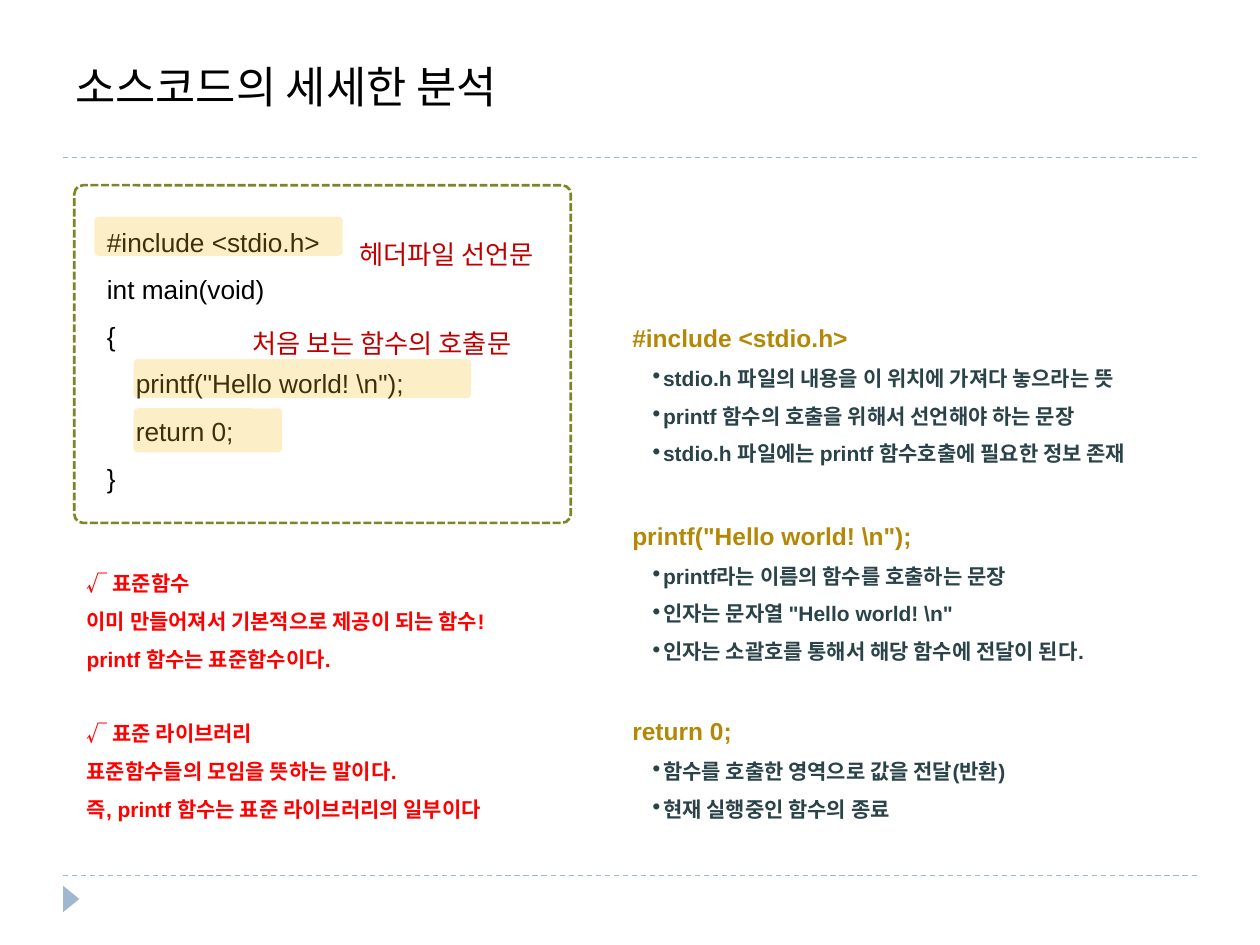
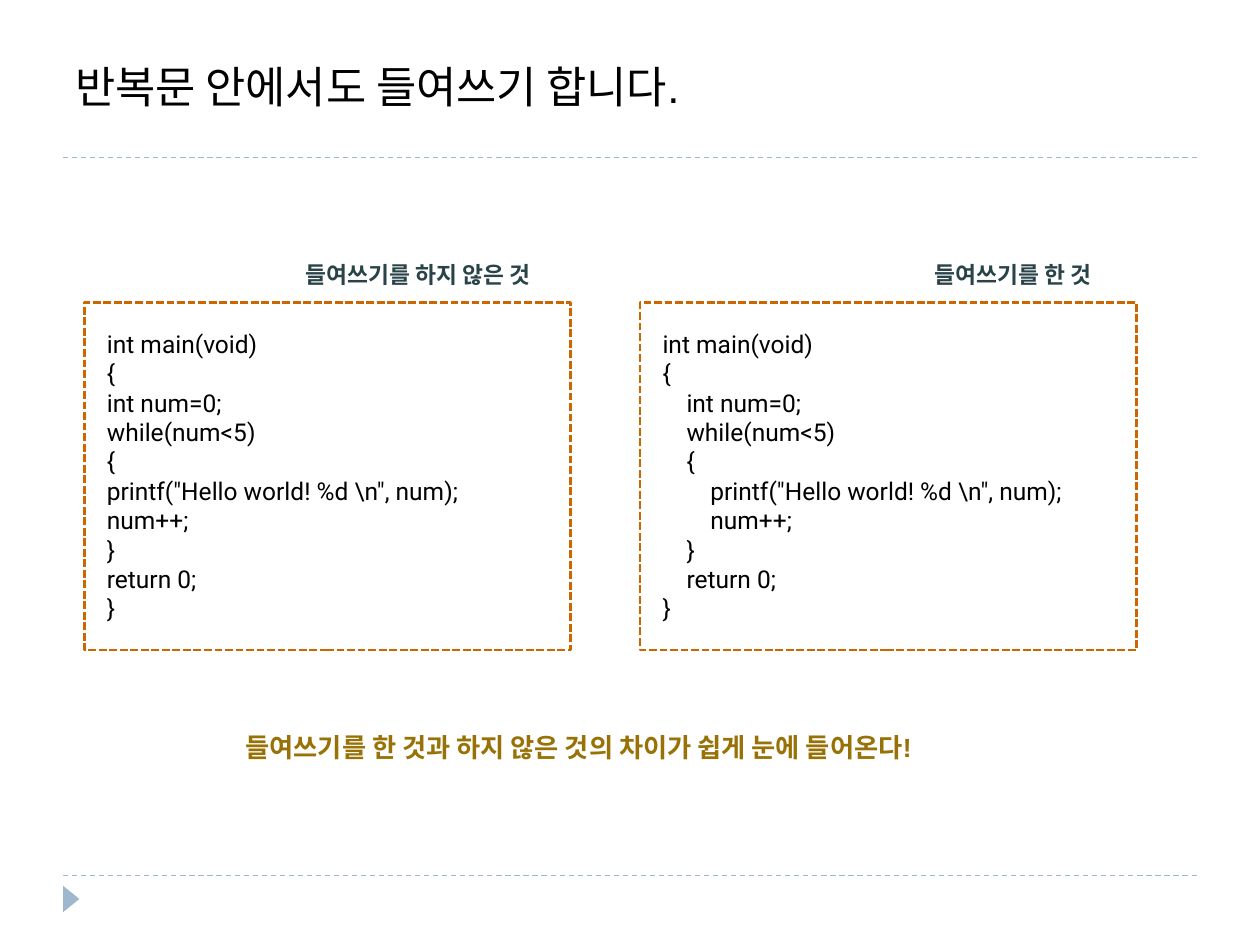
from lxml.etree import SubElement
from pptx import Presentation
from pptx.dml.color import RGBColor
from pptx.enum.dml import MSO_LINE
from pptx.enum.shapes import MSO_CONNECTOR, MSO_SHAPE
from pptx.enum.text import MSO_ANCHOR, PP_ALIGN
from pptx.oxml.ns import qn
from pptx.util import Inches, Pt

BLACK = RGBColor(0x00, 0x00, 0x00)
STEEL = RGBColor(0x9F, 0xB8, 0xCD)
OLIVE = RGBColor(0x7D, 0x85, 0x25)
AMBER = RGBColor(0xF7, 0xC1, 0x20)
CRIMSON = RGBColor(0xC0, 0x00, 0x00)
RED = RGBColor(0xFF, 0x00, 0x00)
GOLD = RGBColor(0xB3, 0x88, 0x07)
DARK_GOLD = RGBColor(0x98, 0x72, 0x06)
TEAL = RGBColor(0x29, 0x43, 0x49)
ORANGE = RGBColor(0xCC, 0x66, 0x00)
LATIN_FONT = "Arial"
KOREAN_FONT = "Noto Sans CJK KR"
CODE_FONT = "Roboto"


def add_text_box(page, box, anchor=MSO_ANCHOR.TOP):
    frame = page.shapes.add_textbox(*map(Inches, box)).text_frame
    frame.word_wrap = True
    frame.vertical_anchor = anchor
    return frame


def add_line(frame, text, size, color, bold=False, font=LATIN_FONT, spacing=1.0, indent=0):
    first = frame.paragraphs[0]
    para = frame.add_paragraph() if first.runs else first
    para.line_spacing = spacing
    if indent:
        para._p.get_or_add_pPr().set("marL", str(Inches(indent)))
    span = para.add_run()
    span.text = text
    span.font.size = Pt(size)
    span.font.bold = bold
    span.font.name = font
    span.font.color.rgb = color
    SubElement(span._r.get_or_add_rPr(), qn("a:ea"), typeface=KOREAN_FONT)
    return para


def add_bullet(para, hanging):
    properties = para._p.get_or_add_pPr()
    properties.set("indent", str(-Inches(hanging)))
    SubElement(properties, qn("a:buChar"), char="∙")


def add_shape(page, kind, box, corner=None):
    shape = page.shapes.add_shape(kind, *map(Inches, box))
    shape.shadow.inherit = False
    if corner is not None:
        shape.adjustments[0] = corner
    return shape


def add_dashed_frame(page, kind, box, color, corner=None):
    frame = add_shape(page, kind, box, corner)
    frame.fill.background()
    frame.line.color.rgb = color
    frame.line.width = Pt(1.5)
    frame.line.dash_style = MSO_LINE.SQUARE_DOT


def add_highlight(page, box):
    highlight = add_shape(page, MSO_SHAPE.ROUNDED_RECTANGLE, box, 0.1)
    highlight.fill.solid()
    highlight.fill.fore_color.rgb = AMBER
    color = highlight.fill._xPr.find(".//" + qn("a:srgbClr"))
    SubElement(color, qn("a:alpha"), val="25000")
    highlight.line.fill.background()


def add_page(deck, title):
    page = deck.slides.add_slide(deck.slide_layouts[6])
    for y in (6.95, 1.25):
        rule = page.shapes.add_connector(
            MSO_CONNECTOR.STRAIGHT, Inches(0.5), Inches(y), Inches(9.5), Inches(y))
        rule.line.color.rgb = STEEL
        rule.line.width = Pt(0.75)
        rule.line.dash_style = MSO_LINE.DASH
        SubElement(rule._element.spPr, qn("a:effectLst"))
    marker = add_shape(page, MSO_SHAPE.ISOSCELES_TRIANGLE, (0.46, 7.07, 0.21, 0.13))
    marker.rotation = 90
    marker.fill.solid()
    marker.fill.fore_color.rgb = STEEL
    marker.line.fill.background()
    add_line(add_text_box(page, (0.5, 0.17, 9, 0.77), MSO_ANCHOR.BOTTOM), title, 25, BLACK)
    return page


def add_annotated_code(page, box):
    left, top, width, height = box
    add_dashed_frame(page, MSO_SHAPE.ROUNDED_RECTANGLE, box, OLIVE, 0.026)
    frame = add_text_box(page, (left + 0.16, top + 0.15, width - 0.55, height - 0.36))
    code = (("#include <stdio.h>", 0), ("int main(void)", 0), ("{", 0),
            ('printf("Hello world! \\n");', 1), ("return 0;", 1), ("}", 0))
    for text, level in code:
        add_line(frame, text, 15, BLACK, spacing=1.5, indent=0.23 * level)
    for x, y, w, h in ((0.16, 0.25, 1.97, 0.31), (0.47, 1.38, 2.68, 0.31),
                       (0.47, 1.77, 1.18, 0.35)):
        add_highlight(page, (left + x, top + y, w, h))
    for text, x, y, w in (("헤더파일 선언문", 2.05, 0.31, 1.81),
                          ("처음 보는 함수의 호출문", 1.18, 1.02, 2.52)):
        label = add_text_box(page, (left + x, top + y, w, 0.47), MSO_ANCHOR.MIDDLE)
        para = add_line(label, text, 15, CRIMSON, font=KOREAN_FONT)
        para.alignment = PP_ALIGN.CENTER


def add_explanation(page, box, heading, points):
    frame = add_text_box(page, box)
    add_line(frame, heading, 14, GOLD, bold=True, spacing=1.5)
    for point in points:
        para = add_line(frame, point, 12, TEAL, bold=True, spacing=1.5, indent=0.23)
        add_bullet(para, 0.09)


def add_definitions(page, box, groups):
    frame = add_text_box(page, box)
    for number, group in enumerate(groups):
        paras = [add_line(frame, text, 12, RED, bold=True, spacing=1.5) for text in group]
        if number:
            paras[0].space_before = Pt(21)


def add_code_sample(page, box, caption, caption_width, code, step):
    left, top, width, height = box
    add_dashed_frame(page, MSO_SHAPE.RECTANGLE, box, ORANGE)
    frame = add_text_box(page, (left + 0.08, top + 0.16, width - 0.16, height - 0.3))
    for text, level in code:
        add_line(frame, text, 14, BLACK, font=CODE_FONT, indent=step * level)
    caption_box = (left + width - caption_width, top - 0.38, caption_width, 0.32)
    add_line(add_text_box(page, caption_box), caption, 13, TEAL, bold=True)


def build_source_analysis(deck):
    page = add_page(deck, "소스코드의 세세한 분석")
    add_annotated_code(page, (0.59, 1.47, 3.94, 2.68))
    add_definitions(page, (0.59, 4.38, 3.94, 2.22), (
        ("√ 표준함수",
         "이미 만들어져서 기본적으로 제공이 되는 함수!",
         "printf 함수는 표준함수이다."),
        ("√ 표준 라이브러리",
         "표준함수들의 모임을 뜻하는 말이다.",
         "즉, printf 함수는 표준 라이브러리의 일부이다")))
    explanations = (
        (2.4, "#include <stdio.h>",
         ("stdio.h 파일의 내용을 이 위치에 가져다 놓으라는 뜻",
          "printf 함수의 호출을 위해서 선언해야 하는 문장",
          "stdio.h 파일에는 printf 함수호출에 필요한 정보 존재")),
        (3.97, 'printf("Hello world! \\n");',
         ("printf라는 이름의 함수를 호출하는 문장",
          '인자는 문자열 "Hello world! \\n"',
          "인자는 소괄호를 통해서 해당 함수에 전달이 된다.")),
        (5.52, "return 0;",
         ("함수를 호출한 영역으로 값을 전달(반환)",
          "현재 실행중인 함수의 종료")))
    for top, heading, points in explanations:
        add_explanation(page, (4.92, top, 4.8, 0.46 + 0.3 * len(points)), heading, points)


def build_indentation(deck):
    page = add_page(deck, "반복문 안에서도 들여쓰기 합니다.")
    code = (("int main(void)", 0), ("{", 0), ("int num=0;", 1), ("while(num<5)", 1),
            ("{", 1), ('printf("Hello world! %d \\n", num);', 2), ("num++;", 2),
            ("}", 1), ("return 0;", 1), ("}", 0))
    add_code_sample(page, (0.67, 2.4, 3.86, 2.76), "들여쓰기를 하지 않은 것", 2.2, code, 0)
    add_code_sample(page, (5.08, 2.4, 3.94, 2.76), "들여쓰기를 한 것", 1.7, code, 0.19)
    add_line(add_text_box(page, (1.85, 5.63, 6.22, 0.48)),
             "들여쓰기를 한 것과 하지 않은 것의 차이가 쉽게 눈에 들어온다!",
             15, DARK_GOLD, bold=True, spacing=1.5)


def main():
    deck = Presentation()
    deck.slide_width = Inches(10)
    deck.slide_height = Inches(7.5)
    build_source_analysis(deck)
    build_indentation(deck)
    deck.save("out.pptx")


if __name__ == "__main__":
    main()
